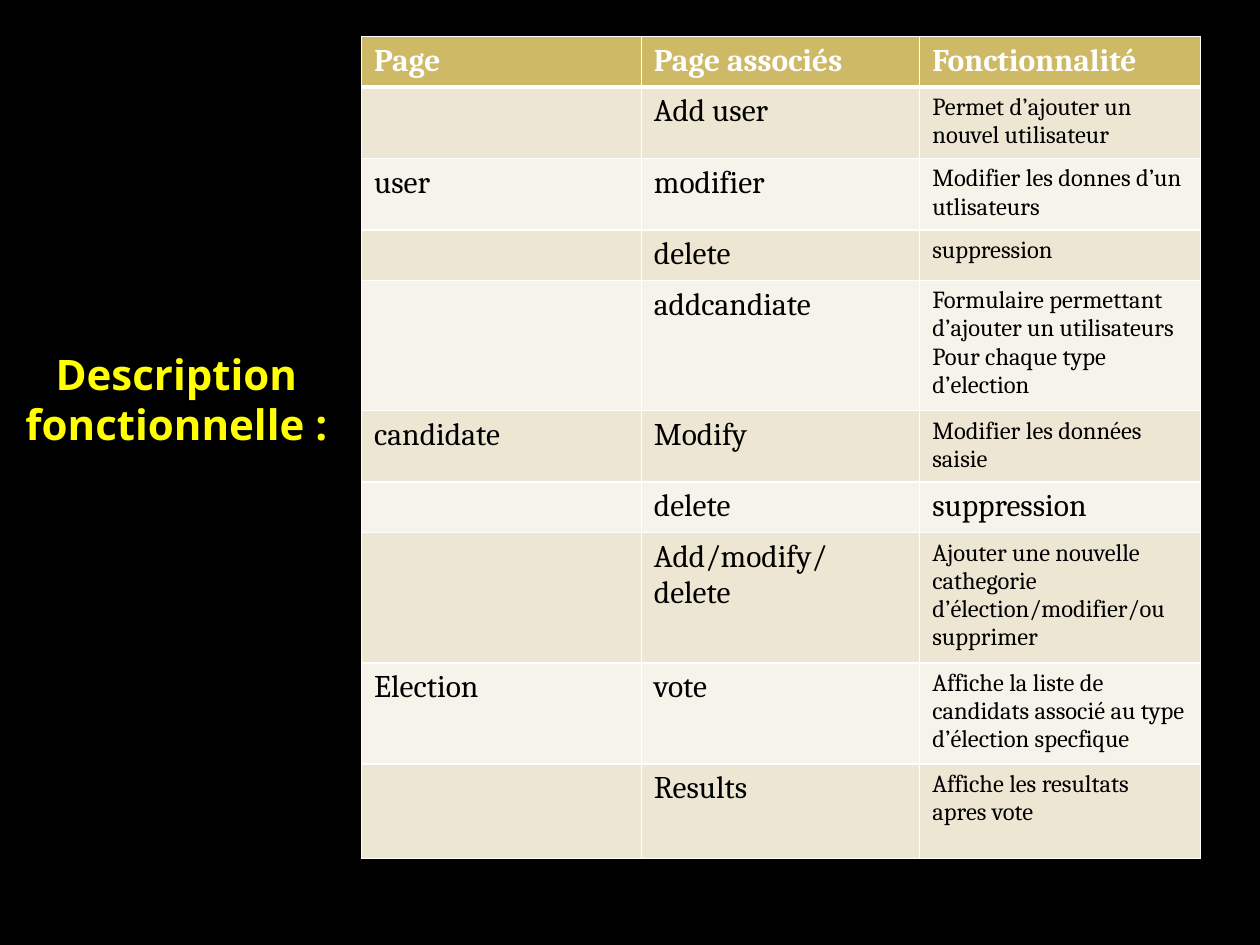
from dataclasses import dataclass

from lxml import etree
from pptx import Presentation
from pptx.dml.color import RGBColor
from pptx.enum.text import MSO_ANCHOR, PP_ALIGN
from pptx.oxml.ns import qn
from pptx.util import Inches, Pt

CENTER = PP_ALIGN.CENTER
MIDDLE = MSO_ANCHOR.MIDDLE
COLORS = {
    "background": "000000",
    "title": "FFFF00",
    "header": "CEB966",
    "odd_row": "EDE6D3",
    "even_row": "F6F3EA",
    "white": "FFFFFF",
    "text": "000000",
}
TITLE_FONT = "Open Sans"
TABLE_FONT = "Cambria"
COLUMN_WIDTHS = (2.22, 2.21, 2.23)


@dataclass
class Row:
    page: str
    linked_page: str
    feature: str
    height: float
    feature_size: int = 14


ROWS = [
    Row("Page", "Page associés", "Fonctionnalité", 0.39, 18),
    Row("", "Add user", "Permet d’ajouter un nouvel utilisateur", 0.55),
    Row("user", "modifier", "Modifier les donnes d’un utlisateurs", 0.55),
    Row("", "delete", "suppression", 0.4),
    Row("", "addcandiate",
        "Formulaire permettant d’ajouter un utilisateurs\nPour chaque type d’election", 1),
    Row("candidate", "Modify ", "Modifier les données saisie", 0.55),
    Row("", "delete", "suppression", 0.4, 18),
    Row("", "Add/modify/\ndelete",
        "Ajouter une nouvelle cathegorie d’élection/modifier/ou supprimer", 1),
    Row("Election", "vote",
        "Affiche la liste de candidats associé au type d’élection specfique", 0.77),
    Row("", "Results", "Affiche les resultats apres vote", 0.75),
]


def color(name: str) -> RGBColor:
    return RGBColor.from_string(COLORS[name])


def format_text(text_frame, font: str, size: int, color_name: str, bold: bool) -> None:
    for para in text_frame.paragraphs:
        for span in para.runs:
            span.font.name = font
            span.font.size = Pt(size)
            span.font.bold = bold
            span.font.color.rgb = color(color_name)


def add_borders(cell, top: int, bottom: int) -> None:
    """Put white lines, with widths in points, ahead of the cell fill."""
    properties = cell._tc.get_or_add_tcPr()
    widths = {"a:lnL": 1, "a:lnR": 1, "a:lnT": top, "a:lnB": bottom}
    for position, (tag, width) in enumerate(widths.items()):
        line = etree.Element(qn(tag), w=str(Pt(width)))
        fill = etree.SubElement(line, qn("a:solidFill"))
        etree.SubElement(fill, qn("a:srgbClr"), val=COLORS["white"])
        properties.insert(position, line)


def fill_row(table, index: int, row: Row) -> None:
    table.rows[index].height = Inches(row.height)
    is_header = index == 0
    fill_name = "header" if is_header else "odd_row" if index % 2 else "even_row"
    text_color = "white" if is_header else "text"
    entries = ((row.page, 18), (row.linked_page, 18), (row.feature, row.feature_size))
    for column, (text, size) in enumerate(entries):
        cell = table.cell(index, column)
        cell.fill.solid()
        cell.fill.fore_color.rgb = color(fill_name)
        add_borders(cell, top=3 if index == 1 else 1, bottom=3 if is_header else 1)
        if text:
            cell.text_frame.text = text
            format_text(cell.text_frame, TABLE_FONT, size, text_color, is_header)


deck = Presentation()
deck.slide_width, deck.slide_height = Inches(10), Inches(7.5)
page = deck.slides.add_slide(deck.slide_layouts[6])
page.background.fill.solid()
page.background.fill.fore_color.rgb = color("background")

# Title
box = page.shapes.add_textbox(Inches(0), Inches(0.3), Inches(2.8), Inches(5.73))
title = box.text_frame
title.word_wrap = True
title.vertical_anchor = MIDDLE
title.text = "Description fonctionnelle :"
title.paragraphs[0].alignment = CENTER
format_text(title, TITLE_FONT, 24, "title", True)

# Table of pages and features
table = page.shapes.add_table(
    len(ROWS), len(COLUMN_WIDTHS), Inches(2.87), Inches(0.29),
    Inches(sum(COLUMN_WIDTHS)), Inches(sum(row.height for row in ROWS)),
).table
for table_column, width in zip(table.columns, COLUMN_WIDTHS):
    table_column.width = Inches(width)
for row_index, table_row in enumerate(ROWS):
    fill_row(table, row_index, table_row)

deck.save("out.pptx")
